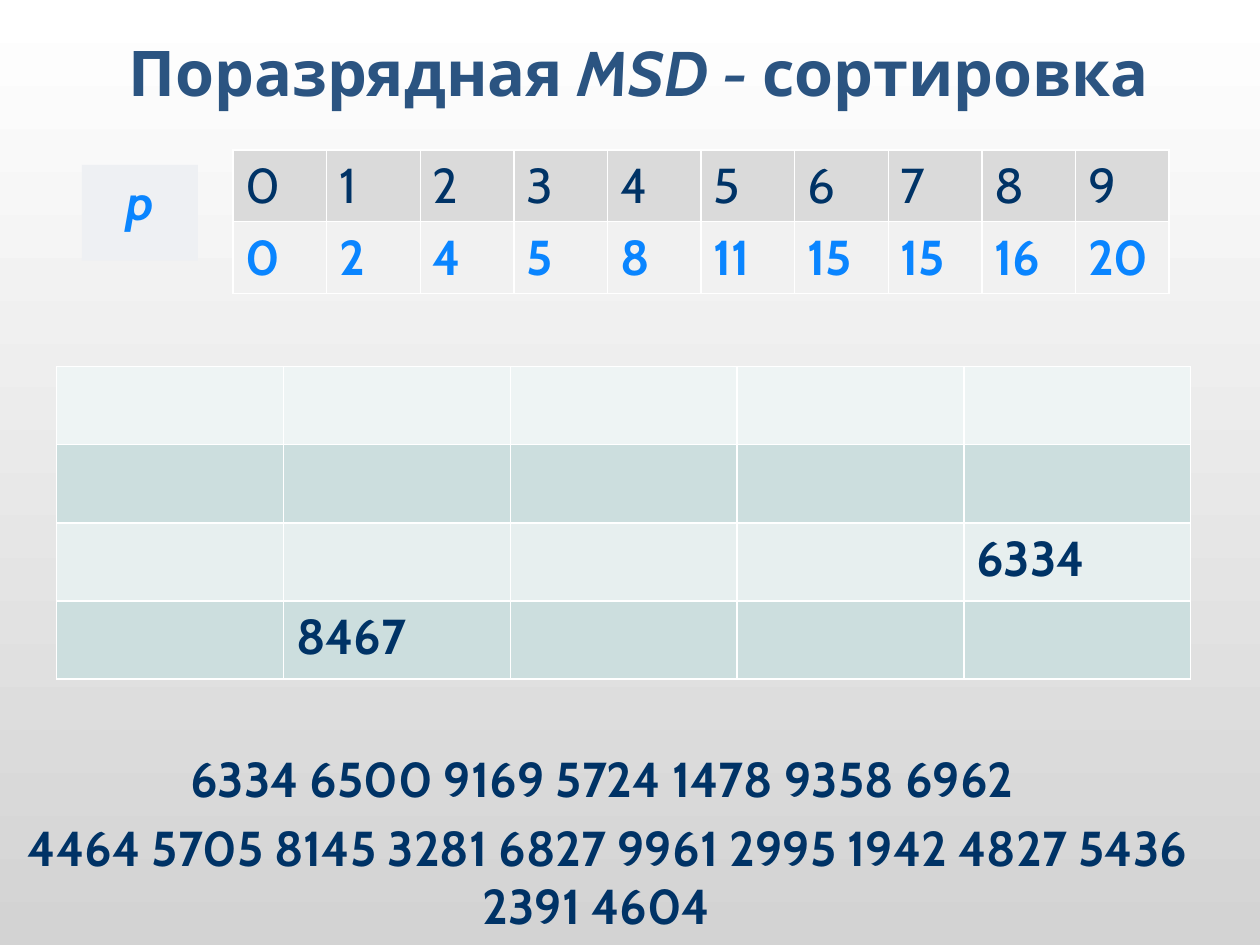
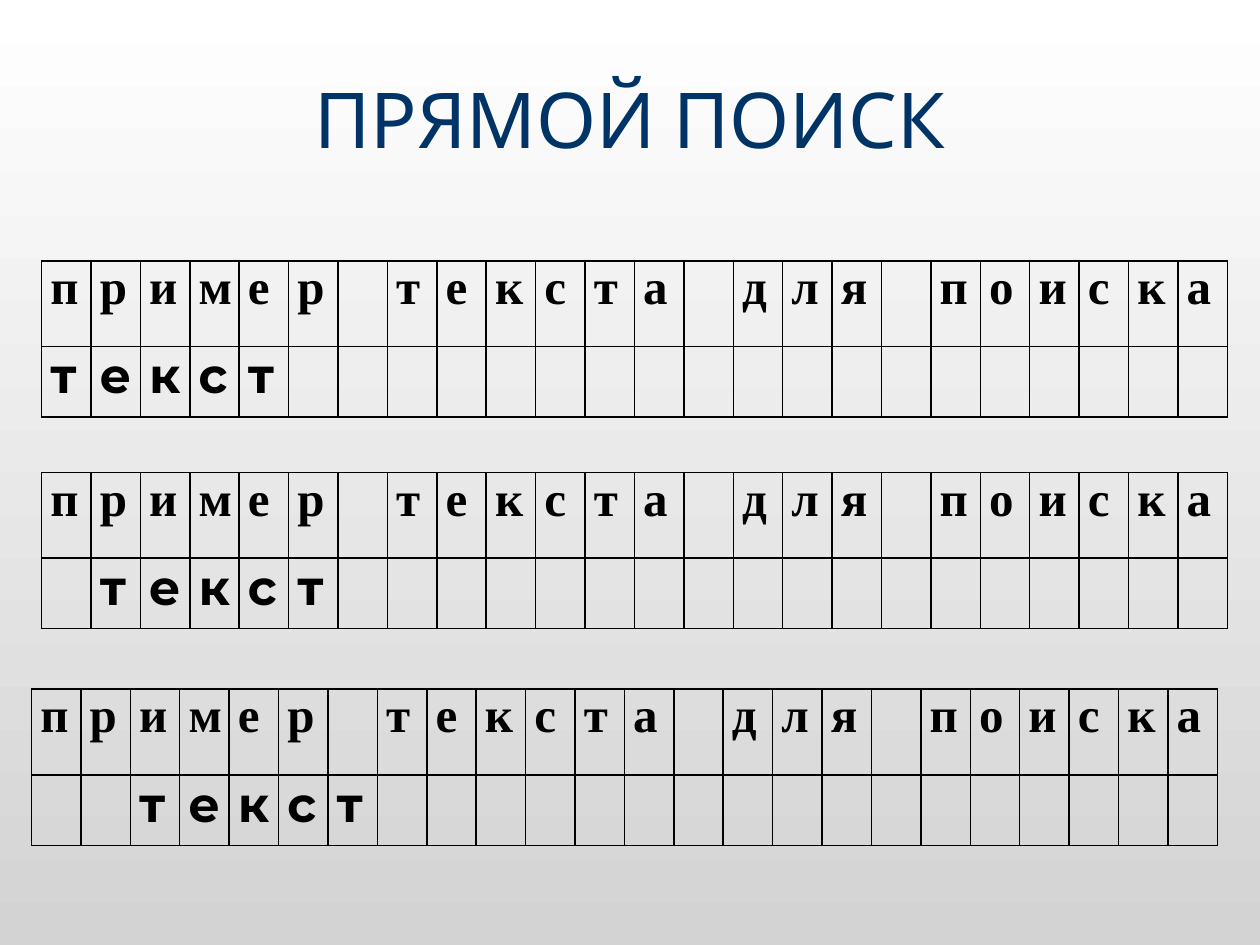
import pptx
import pptx.dml.color
import pptx.enum.shapes
import pptx.enum.text
import pptx.oxml
import pptx.oxml.ns
import pptx.util

Inches = pptx.util.Inches
Pt = pptx.util.Pt
rgb = pptx.dml.color.RGBColor.from_string
LEFT = pptx.enum.text.PP_ALIGN.LEFT
CENTER = pptx.enum.text.PP_ALIGN.CENTER
MIDDLE = pptx.enum.text.MSO_ANCHOR.MIDDLE

NAVY = "003366"
TITLE_BLUE = "2B5481"
BRIGHT_BLUE = "0A85FF"
WHITE = "FFFFFF"
BLACK = "000000"


def write(paragraph, text, *, size=28, font="Cabin", color=NAVY,
          bold=True, italic=False, align=CENTER):
    paragraph.alignment = align
    run = paragraph.add_run()
    run.text = text
    run.font.size = Pt(size)
    run.font.name = font
    run.font.color.rgb = rgb(color)
    run.font.bold = bold
    run.font.italic = italic


def add_grid(slide, left, top, width, row_heights, columns, border, fills=None, insets=(0.1, 0.05)):
    """Add a table with thin borders and one optional fill per row."""
    height = sum(row_heights)
    table = slide.shapes.add_table(len(row_heights), columns, Inches(left), Inches(top),
                                   Inches(width), Inches(height)).table
    table.first_row = table.horz_banding = False
    for column in table.columns:
        column.width = Inches(width / columns)
    for r, row_height in enumerate(row_heights):
        table.rows[r].height = Inches(row_height)
        for cell in table.rows[r].cells:
            cell.margin_left = cell.margin_right = Inches(insets[0])
            cell.margin_top = cell.margin_bottom = Inches(insets[1])
            if fills:
                cell.fill.solid()
                cell.fill.fore_color.rgb = rgb(fills[r])
            else:
                cell.fill.background()
            properties = cell._tc.get_or_add_tcPr()
            for position, side in enumerate("LRTB"):
                line = pptx.oxml.parse_xml(
                    f'<a:ln{side} {pptx.oxml.ns.nsdecls("a")} w="12700"><a:solidFill>'
                    f'<a:srgbClr val="{border}"/></a:solidFill></a:ln{side}>')
                properties.insert(position, line)
    return table


presentation = pptx.Presentation()
presentation.slide_width = Inches(10)
presentation.slide_height = Inches(7.5)

# Both slides: white to grey background
sorting, search = [presentation.slides.add_slide(presentation.slide_layouts[6]) for _ in range(2)]
for slide in (sorting, search):
    background = slide.background.fill
    background.gradient()
    background.gradient_angle = 270
    for stop, shade in zip(background.gradient_stops, (WHITE, "D3D3D3")):
        stop.color.rgb = rgb(shade)

# Both slides: title made of (text, italic) parts
titles = [
    (sorting, (0.57, 0.32, 9, 0.5), dict(size=36, color=TITLE_BLUE),
     [("Поразрядная ", False), ("MSD - ", True), ("сортировка", False)]),
    (search, (0.5, 0.42, 9, 1.02), dict(size=44, bold=False), [("ПРЯМОЙ ПОИСК", False)]),
]
for slide, place, style, parts in titles:
    title = slide.shapes.add_textbox(*map(Inches, place)).text_frame
    title.word_wrap = True
    title.vertical_anchor = MIDDLE
    for text, italic in parts:
        write(title.paragraphs[0], text, italic=italic, **style)

# Sorting: result array, partly filled
result = add_grid(sorting, 0.45, 2.91, 9, [0.62] * 4, 5, WHITE,
                  ["EEF4F4", "CCDEDE", "E7EFEF", "CCDEDE"])
for row, column, number in [(2, 4, "6334"), (3, 1, "8467")]:
    write(result.cell(row, column).text_frame.paragraphs[0], number, align=LEFT)

# Sorting: label and table of positions by digit
label = sorting.shapes.add_shape(pptx.enum.shapes.MSO_SHAPE.RECTANGLE,
                                 *map(Inches, (0.65, 1.31, 0.92, 0.76)))
label.shadow.inherit = False
label.fill.solid()
label.fill.fore_color.rgb = rgb("EEF0F3")
label.line.fill.background()
label.text_frame.vertical_anchor = pptx.enum.text.MSO_ANCHOR.TOP
write(label.text_frame.paragraphs[0], "p", color=BRIGHT_BLUE, italic=True)

positions = add_grid(sorting, 1.85, 1.19, 7.43, [0.57] * 2, 10, WHITE, ["DADADA", "F1F1F1"])
for digit, start in enumerate([0, 2, 4, 5, 8, 11, 15, 15, 16, 20]):
    write(positions.cell(0, digit).text_frame.paragraphs[0], str(digit), bold=False, align=LEFT)
    write(positions.cell(1, digit).text_frame.paragraphs[0], str(start),
          color=BRIGHT_BLUE, align=LEFT)

# Sorting: numbers to sort
numbers = sorting.shapes.add_textbox(*map(Inches, (0, 5.89, 9.55, 1.61))).text_frame
numbers.word_wrap = True
write(numbers.paragraphs[0], "6334 6500 9169 5724 1478 9358 6962")
remaining = numbers.add_paragraph()
remaining.space_before = Pt(5.6)
write(remaining, " 4464 5705 8145 3281 6827 9961 2995 1942 4827 5436 2391 4604 ")

# Search: the pattern moves one letter to the right at each step
phrase = "пример текста для поиска"
pattern = "текст"
for shift, (left, top) in enumerate([(0.33, 2.07), (0.33, 3.75), (0.25, 5.47)]):
    step = add_grid(search, left, top, 9.42, [0.68, 0.56], len(phrase), BLACK, insets=(0.07, 0))
    for row, word, start, font in [(0, phrase, 0, "Times New Roman"),
                                   (1, pattern, shift, "Montserrat")]:
        for column, letter in enumerate(word, start):
            if letter != " ":
                write(step.cell(row, column).text_frame.paragraphs[0], letter,
                      font=font, color=BLACK, align=LEFT)

presentation.save("out.pptx")
